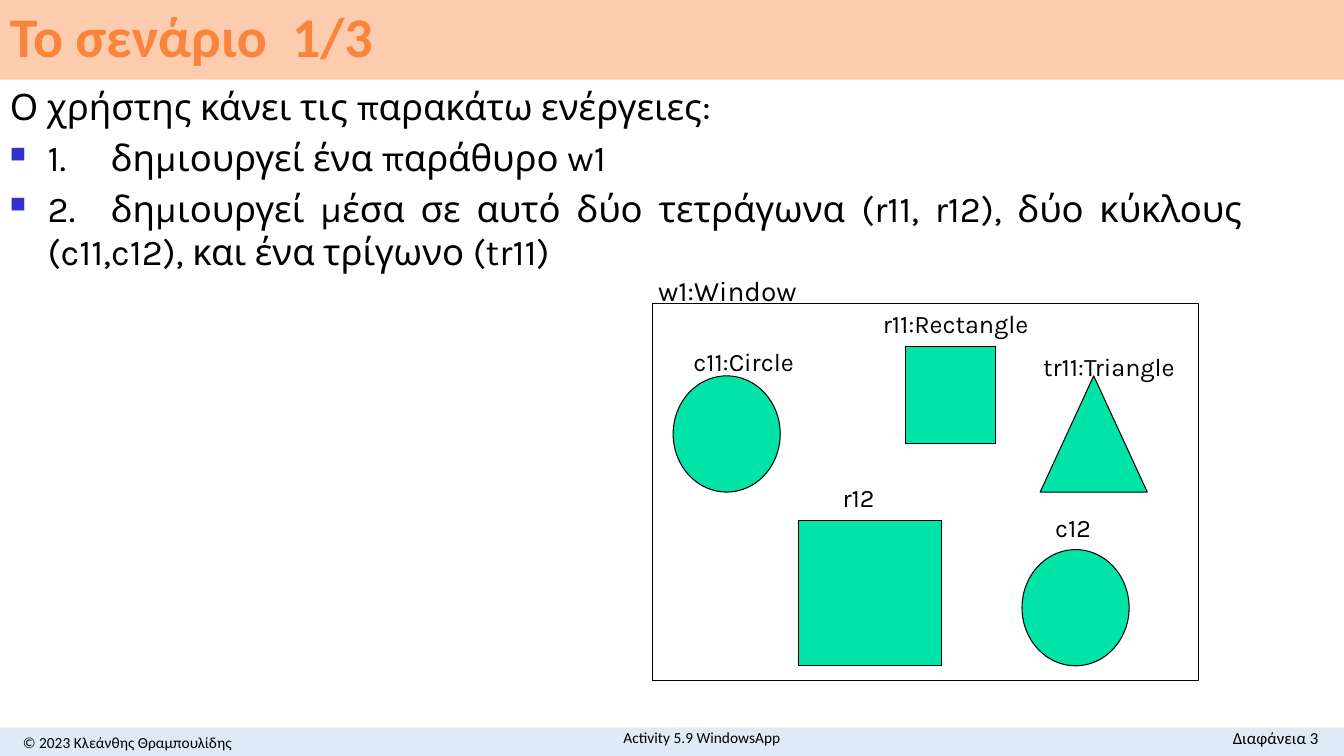
"""Build the scenario slide of the window and shapes activity."""
from dataclasses import dataclass

import lxml.etree
import pptx
import pptx.dml.color
import pptx.enum.shapes
import pptx.enum.text
import pptx.oxml.ns
import pptx.util

Kind = pptx.enum.shapes.MSO_SHAPE
Align = pptx.enum.text.PP_ALIGN
Anchor = pptx.enum.text.MSO_ANCHOR
BLACK = "000000"
GREEN = "00E4A8"


@dataclass
class Figure:
    kind: Kind
    left: float
    top: float
    width: float
    height: float
    fill: str = GREEN
    line: str | None = BLACK


@dataclass
class Label:
    lines: list[str]
    left: float
    top: float
    width: float
    height: float
    size: float = 18
    font: str = "Karla"
    color: str = BLACK
    align: Align = Align.LEFT
    anchor: Anchor = Anchor.TOP
    bold: bool = False
    bulleted_from: int | None = None
    line_spacing: float = 1.0


FIGURES = [
    Figure(Kind.RECTANGLE, 0, 519.8, 960, 21.6, "DEEBF7", None),
    Figure(Kind.RECTANGLE, 0, 0, 960, 56.9, "FDCBAD", None),
    Figure(Kind.RECTANGLE, 466.4, 216.7, 390, 269.3, "FFFFFF"),
    Figure(Kind.OVAL, 480.8, 268.5, 76.5, 83),
    Figure(Kind.RECTANGLE, 570.3, 372, 102.3, 103.5),
    Figure(Kind.ISOSCELES_TRIANGLE, 743, 268.5, 76.5, 83),
    Figure(Kind.OVAL, 730, 392.6, 76.5, 83),
    Figure(Kind.RECTANGLE, 646.7, 247.5, 64.3, 69.2),
]

LABELS = [
    Label(["Το σενάριο  1/3"], 0, 0, 960, 56.9, 40, "Calibri", "F9853D",
          anchor=Anchor.MIDDLE, bold=True, line_spacing=0.9),
    Label(["© 2023 Κλεάνθης Θραμπουλίδης"], 0, 519.8, 182, 21.6, 11, "Calibri",
          align=Align.CENTER, anchor=Anchor.MIDDLE),
    Label(["Διαφάνεια 3"], 800.6, 516.2, 148.3, 21.6, 12, "Calibri", align=Align.RIGHT),
    Label(["Activity 5.9 WindowsApp"], 260.6, 516.2, 481.7, 21.6, 11, "Calibri",
          align=Align.CENTER, anchor=Anchor.MIDDLE),
    Label(["Ο χρήστης κάνει τις παρακάτω ενέργειες:",
           "1.\tδημιουργεί ένα παράθυρο w1",
           "2.\tδημιουργεί μέσα σε αυτό δύο τετράγωνα (r11, r12), "
           "δύο κύκλους (c11,c12), και ένα τρίγωνο (tr11)"],
          0, 56.9, 895, 131.8, 26, align=Align.JUSTIFY, bulleted_from=1),
    Label(["w1:Window"], 463, 191.5, 130, 31, 20),
    Label(["c11:Circle"], 488.2, 244.1, 125.3, 28.8),
    Label(["c12"], 746.6, 362.2, 63.4, 28.8),
    Label(["r12"], 594.7, 341.3, 63.4, 28.8),
    Label(["r11:Rectangle"], 623.5, 216.7, 125.3, 28.8),
    Label(["tr11:Triangle"], 738, 247.7, 125.3, 28.8),
]


def rgb(color: str) -> pptx.dml.color.RGBColor:
    """Turn a hex string into a colour."""
    return pptx.dml.color.RGBColor.from_string(color)


def draw_figure(page: pptx.slide.Slide, figure: Figure) -> None:
    """Draw one filled shape."""
    edges = map(pptx.util.Pt, (figure.left, figure.top, figure.width, figure.height))
    shape = page.shapes.add_shape(figure.kind, *edges)
    shape.shadow.inherit = False
    shape.fill.solid()
    shape.fill.fore_color.rgb = rgb(figure.fill)
    if figure.line is None:
        shape.line.fill.background()
    else:
        shape.line.color.rgb = rgb(figure.line)
        shape.line.width = pptx.util.Pt(0.75)


def add_bullet(para: pptx.text.text._Paragraph) -> None:
    """Give a paragraph a small blue square bullet with a hanging indent."""
    properties = para._p.get_or_add_pPr()
    indent = pptx.util.Pt(27)
    properties.set("marL", str(indent))
    properties.set("indent", str(-indent))
    tag = pptx.oxml.ns.qn
    color = lxml.etree.SubElement(properties, tag("a:buClr"))
    lxml.etree.SubElement(color, tag("a:srgbClr"), val="3333CC")
    lxml.etree.SubElement(properties, tag("a:buSzPct"), val="60000")
    lxml.etree.SubElement(properties, tag("a:buChar"), char="■")


def draw_label(page: pptx.slide.Slide, label: Label) -> None:
    """Write one text box."""
    edges = map(pptx.util.Pt, (label.left, label.top, label.width, label.height))
    frame = page.shapes.add_textbox(*edges).text_frame
    frame.word_wrap = True
    frame.vertical_anchor = label.anchor
    frame.text = "\n".join(label.lines)
    for index, para in enumerate(frame.paragraphs):
        if label.bulleted_from is not None and index >= label.bulleted_from:
            add_bullet(para)
        para.alignment = label.align
        para.line_spacing = label.line_spacing
        if index:
            para.space_before = pptx.util.Pt(5)
        for span in para.runs:
            span.font.name = label.font
            span.font.size = pptx.util.Pt(label.size)
            span.font.bold = label.bold
            span.font.color.rgb = rgb(label.color)


def main() -> None:
    """Build and save the deck."""
    deck = pptx.Presentation()
    deck.slide_width = pptx.util.Pt(960)
    deck.slide_height = pptx.util.Pt(540)
    page = deck.slides.add_slide(deck.slide_layouts[6])
    for figure in FIGURES:
        draw_figure(page, figure)
    for label in LABELS:
        draw_label(page, label)
    deck.save("out.pptx")


if __name__ == "__main__":
    main()
